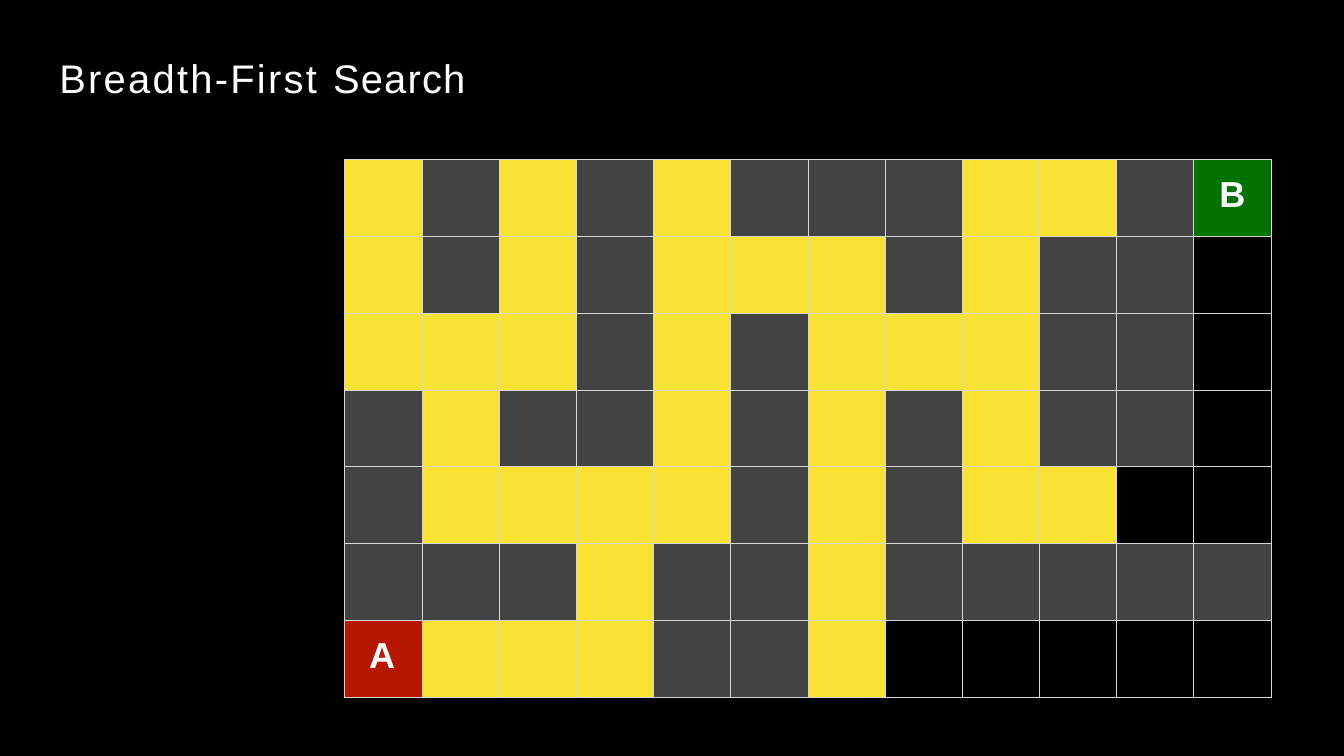
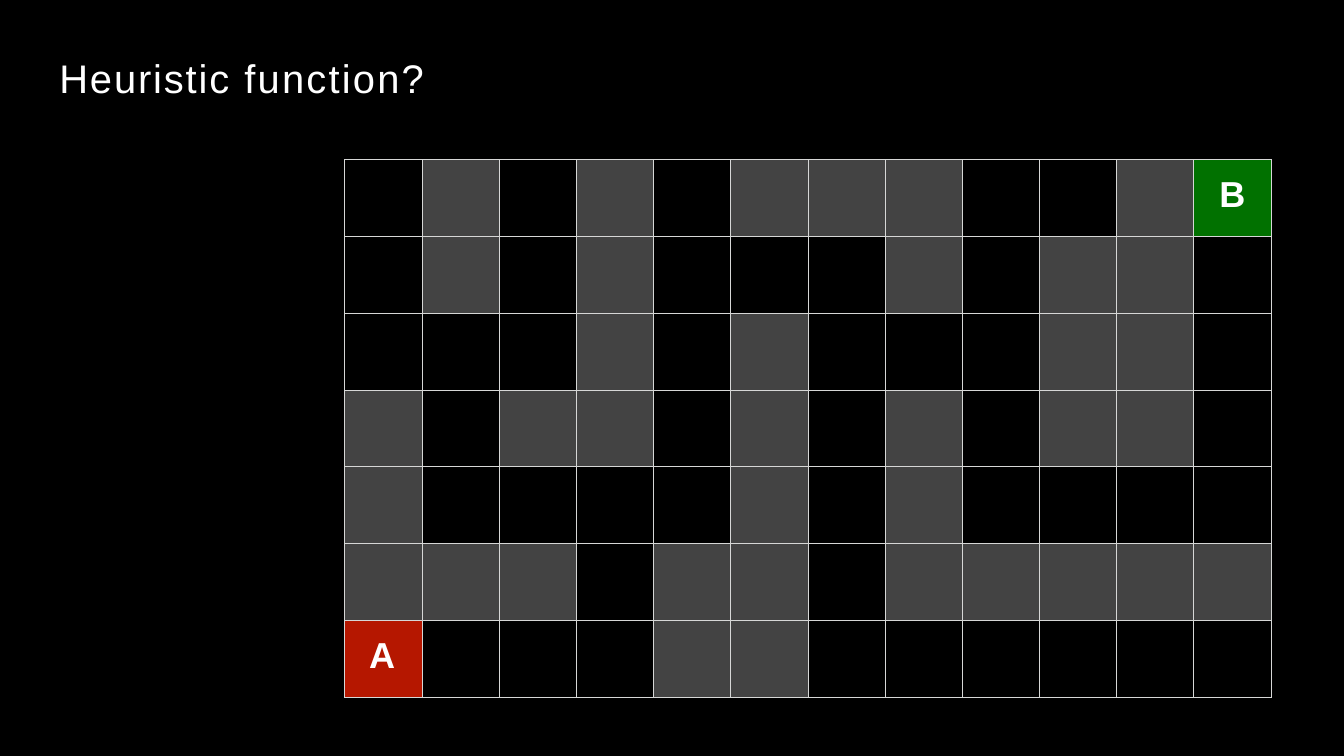
from lxml import etree
from pptx import Presentation
from pptx import util as u
from pptx.dml.color import RGBColor
from pptx.enum import text
from pptx.oxml import ns

PX = 9144
FONT = "Arial"
COLOURS = {
    "background": "000000",
    "text": "FFFFFF",
    "grid": "D6D7D6",
    "open": "000000",
    "wall": "434343",
    "explored": "FAE232",
    "start": "B51700",
    "goal": "017100",
}
SQUARES = {".": "open", "#": "wall", "*": "explored", "A": "start", "B": "goal"}
LETTER_INSETS = {"A": (40, 25), "B": (42, 26)}
EXPLORED_MAZE = [
    "*#*#*###**#B",
    "*#*#***#*##.",
    "***#*#***##.",
    "#*##*#*#*##.",
    "#****#*#**..",
    "###*##*#####",
    "A***##*.....",
]
UNEXPLORED_MAZE = [row.replace("*", ".") for row in EXPLORED_MAZE]


def px(length):
    return u.Emu(length * PX)


def colour(name):
    return RGBColor.from_string(COLOURS[name])


class Deck:
    def __init__(self, width, height):
        self.prs = Presentation()
        self.prs.slide_width, self.prs.slide_height = px(width), px(height)
        background = self.prs.slide_master.background.fill
        background.solid()
        background.fore_color.rgb = colour("background")
        self.slide = None

    def add_slide(self):
        self.slide = self.prs.slides.add_slide(self.prs.slide_layouts[6])

    def style(self, paragraph, size, bold=False):
        paragraph.alignment = text.PP_ALIGN.LEFT
        font = paragraph.font
        font.name, font.size, font.bold = FONT, u.Pt(size), bold
        font.color.rgb = colour("text")

    def title(self, width, spaced_words):
        box = self.slide.shapes.add_textbox(px(96), px(86), px(width), px(81))
        frame = box.text_frame
        frame.word_wrap = True
        frame.auto_size = text.MSO_AUTO_SIZE.SHAPE_TO_FIT_TEXT
        frame.margin_left = frame.margin_top = px(1)
        frame.margin_right = frame.margin_bottom = 0
        heading = frame.paragraphs[0]
        self.style(heading, 47)
        for words, spacing in spaced_words:
            run = heading.add_run()
            run.text = words
            run._r.get_or_add_rPr().set("spc", str(spacing))

    def borders(self, cell):
        properties = cell._tc.get_or_add_tcPr()
        for side in ("a:lnL", "a:lnR", "a:lnT", "a:lnB"):
            line = etree.SubElement(properties, ns.qn(side), w=str(u.Pt(1)))
            fill = etree.SubElement(line, ns.qn("a:solidFill"))
            etree.SubElement(fill, ns.qn("a:srgbClr"), val=COLOURS["grid"])

    def square(self, cell, mark):
        self.borders(cell)
        cell.fill.solid()
        cell.fill.fore_color.rgb = colour(SQUARES[mark])
        cell.vertical_anchor = text.MSO_ANCHOR.TOP
        cell.margin_left, cell.margin_top = map(px, LETTER_INSETS.get(mark, (0, 0)))
        cell.margin_right = cell.margin_bottom = 0
        if mark in LETTER_INSETS:
            cell.text = mark
            self.style(cell.text_frame.paragraphs[0], 42.5, bold=True)

    def maze(self, rows):
        grid = self.slide.shapes.add_table(
            len(rows), len(rows[0]), px(564), px(261), px(1516), px(880)
        ).table
        grid.first_row = grid.horz_banding = False
        for r, row in enumerate(rows):
            for c, mark in enumerate(row):
                self.square(grid.cell(r, c), mark)


def main():
    deck = Deck(2199, 1237)
    for width, spaced_words, rows in (
        (668, [("Breadth-First ", 270), ("Search", 140)], EXPLORED_MAZE),
        (602, [("Heuristic ", 220), ("function?", 260)], UNEXPLORED_MAZE),
    ):
        deck.add_slide()
        deck.maze(rows)
        deck.title(width, spaced_words)
    deck.prs.save("out.pptx")


if __name__ == "__main__":
    main()
